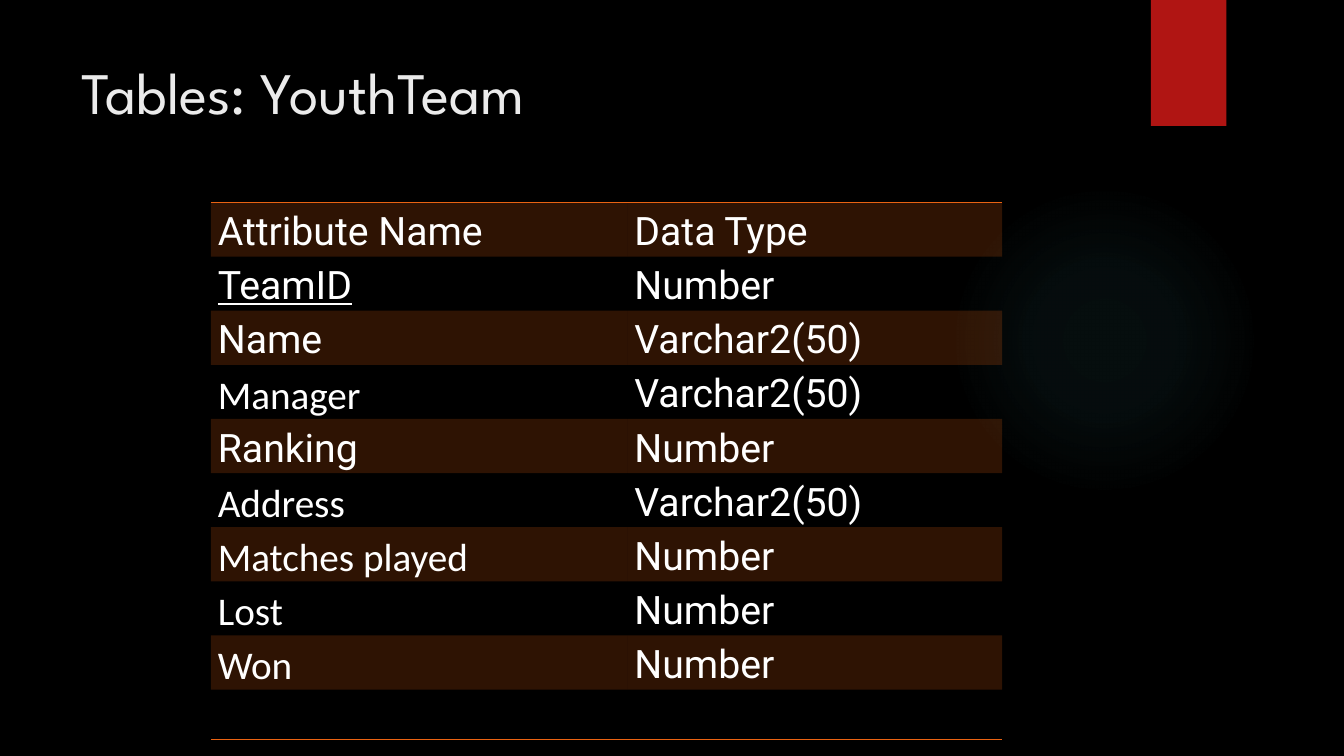
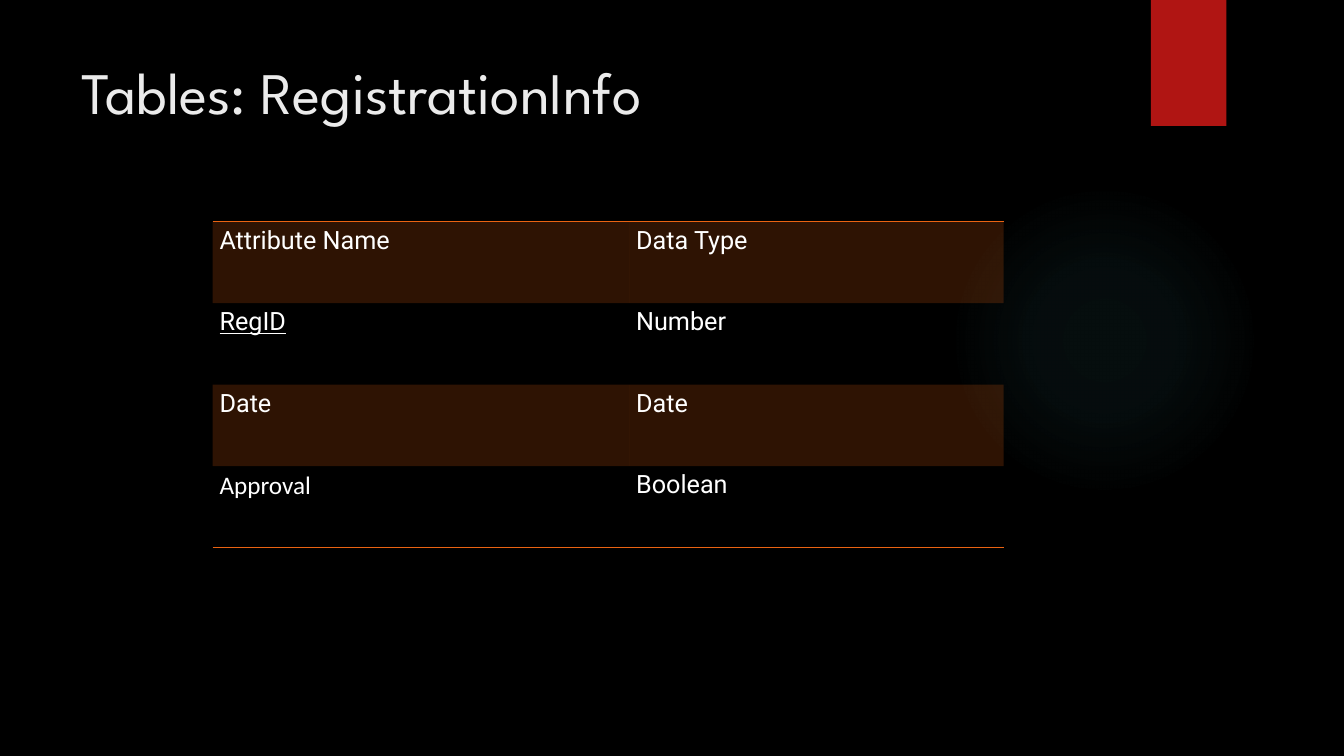
"""Build two slides that list the attributes of database tables."""
from dataclasses import dataclass

from lxml.etree import SubElement
from pptx import Presentation
from pptx.dml.color import RGBColor
from pptx.enum.shapes import MSO_SHAPE as Shape
from pptx.oxml.ns import qn
from pptx.util import Inches, Pt


@dataclass(frozen=True)
class Theme:
    background: str = "000000"
    ribbon: str = "B01513"
    glow: str = "50B9C1"
    title: str = "EBEBEB"
    text: str = "FFFFFF"
    accent: str = "EA6312"
    band_alpha: int = 20
    title_font: str = "League Spartan"
    body_font: str = "Roboto"
    alternate_font: str = "Calibri"
    title_size: int = 42
    line_width: int = 1


THEME = Theme()
COLUMNS, ROWS = 160, 90
UNIT = Inches(1 / 12)
NO_STYLE = "{2D5ABB26-0587-4C30-8999-92F81FD0307C}"
GLOW_STOPS = [(0, 7), (36, 6), (69, 0)]
COLUMN_WIDTHS = (49.6, 44.6)
ALTERNATE_NAMES = {"Manager", "Address", "Matches played", "Lost", "Won", "Approval"}
KEY_NAMES = {"TeamID", "RegID"}
HEADER = ("Attribute Name", "Data Type")

TABLES = [
    {
        "title": "Tables: YouthTeam",
        "origin": (25.1, 24.1),
        "size": 28,
        "heights": [5.5] * 9 + [5.9],
        "rows": [
            HEADER,
            ("TeamID", "Number"),
            ("Name", "Varchar2(50)"),
            ("Manager", "Varchar2(50)"),
            ("Ranking", "Number"),
            ("Address", "Varchar2(50)"),
            ("Matches played", "Number"),
            ("Lost", "Number"),
            ("Won", "Number"),
            ("", ""),
        ],
    },
    {
        "title": "Tables: RegistrationInfo",
        "origin": (25.3, 26.4),
        "size": 18,
        "heights": [9.7] * 4,
        "rows": [
            HEADER,
            ("RegID", "Number"),
            ("Date", "Date"),
            ("Approval", "Boolean"),
        ],
    },
]


def grid(*lengths):
    return [round(length * UNIT) for length in lengths]


def add_color(parent, color, alpha=100):
    element = SubElement(parent, qn("a:srgbClr"), val=color)
    SubElement(element, qn("a:alpha"), val=str(alpha * 1000))


presentation = Presentation()
presentation.slide_width, presentation.slide_height = grid(COLUMNS, ROWS)
backdrop = presentation.slide_master.background.fill
backdrop.solid()
backdrop.fore_color.rgb = RGBColor.from_string(THEME.background)

for content in TABLES:
    slide = presentation.slides.add_slide(presentation.slide_layouts[6])

    glow = slide.shapes.add_shape(Shape.OVAL, *grid(113, 22, 37, 37))
    glow.shadow.inherit = False
    glow.line.fill.background()
    glow.fill.gradient()
    gradient = glow._element.spPr.find(qn("a:gradFill"))
    for child in list(gradient):
        gradient.remove(child)
    stops = SubElement(gradient, qn("a:gsLst"))
    for position, alpha in GLOW_STOPS:
        stop = SubElement(stops, qn("a:gs"), pos=str(position * 1000))
        add_color(stop, THEME.glow, alpha)
    radial = SubElement(gradient, qn("a:path"), path="circle")
    SubElement(radial, qn("a:fillToRect"), {side: "50000" for side in "ltrb"})

    ribbon = slide.shapes.add_shape(Shape.RECTANGLE, *grid(137, 0, 9, 15))
    ribbon.shadow.inherit = False
    ribbon.line.fill.background()
    ribbon.fill.solid()
    ribbon.fill.fore_color.rgb = RGBColor.from_string(THEME.ribbon)

    title = slide.shapes.add_textbox(*grid(8.5, 6, 129.5, 18.4))
    title.text_frame.word_wrap = True
    paragraph = title.text_frame.paragraphs[0]
    paragraph.text = content["title"]
    paragraph.font.name = THEME.title_font
    paragraph.font.size = Pt(THEME.title_size)
    paragraph.font.color.rgb = RGBColor.from_string(THEME.title)

    rows, heights = content["rows"], content["heights"]
    table = slide.shapes.add_table(
        len(rows), len(COLUMN_WIDTHS),
        *grid(*content["origin"], sum(COLUMN_WIDTHS), sum(heights)),
    ).table
    table._tbl.tblPr.find(qn("a:tableStyleId")).text = NO_STYLE
    table.first_row = table.horz_banding = False
    for column, width in zip(table.columns, grid(*COLUMN_WIDTHS)):
        column.width = width
    for row, height in zip(table.rows, grid(*heights)):
        row.height = height

    edges = {0: "a:lnT", len(rows) - 1: "a:lnB"}
    for row_index, values in enumerate(rows):
        for column_index, text in enumerate(values):
            cell = table.cell(row_index, column_index)
            if text:
                cell.margin_left = cell.margin_right = Inches(0.07)
                cell.margin_top = cell.margin_bottom = 0
                paragraph = cell.text_frame.paragraphs[0]
                paragraph.text = text
                paragraph.line_spacing = 1.15
                paragraph.space_after = Pt(10)
                font = paragraph.font
                alternate = text in ALTERNATE_NAMES
                font.name = THEME.alternate_font if alternate else THEME.body_font
                font.size = Pt(content["size"])
                font.color.rgb = RGBColor.from_string(THEME.text)
                font.underline = text in KEY_NAMES

            properties = cell._tc.get_or_add_tcPr()
            if row_index in edges:
                line_width = str(Pt(THEME.line_width))
                edge = SubElement(properties, qn(edges[row_index]), w=line_width)
                add_color(SubElement(edge, qn("a:solidFill")), THEME.accent)
            if row_index % 2 == 0:
                band = SubElement(properties, qn("a:solidFill"))
                add_color(band, THEME.accent, THEME.band_alpha)
            else:
                SubElement(properties, qn("a:noFill"))

presentation.save("out.pptx")
